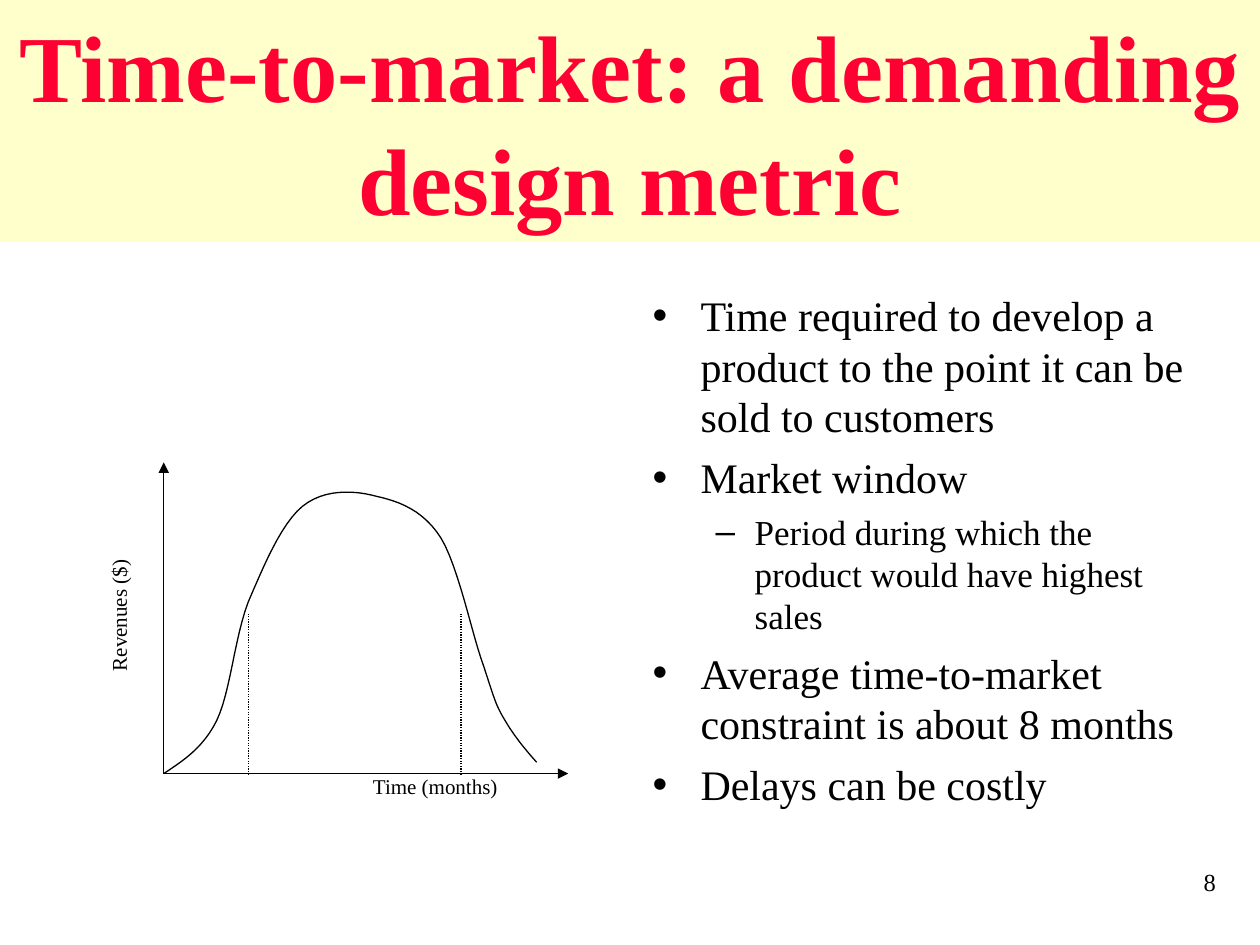
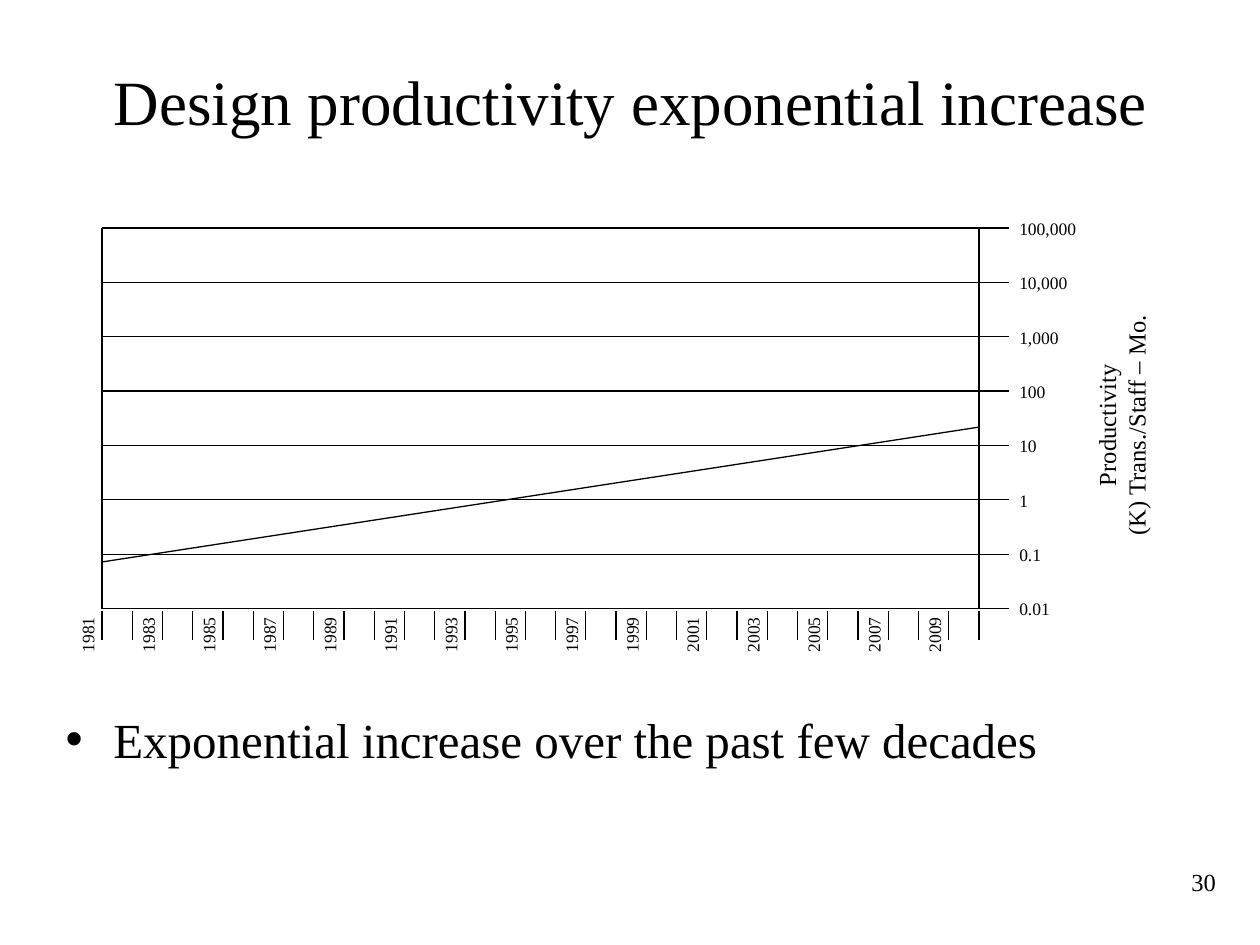
from pptx import Presentation
from pptx import util as u
from pptx.dml.color import RGBColor
from pptx.enum import dml, shapes, text
from pptx.oxml.ns import qn
from lxml import etree

INK, RED, CREAM = "000000", "FF0033", "FFFFCC"
LEFT, MID, RIGHT = text.PP_ALIGN.LEFT, text.PP_ALIGN.CENTER, text.PP_ALIGN.RIGHT


def tint(code):
    return RGBColor.from_string(code)


def place(shape, box):
    shape.left, shape.top, shape.width, shape.height = map(u.Inches, box)


def bend(start, steps, count=12):
    spots = [start]
    for one, two, end in steps:
        begin = spots[-1]
        for n in range(1, count + 1):
            t = n / count
            s = 1 - t
            spots.append(tuple(
                s**3 * a + 3 * s * s * t * b + 3 * s * t * t * c + t**3 * d
                for a, b, c, d in zip(begin, one, two, end)))
    return spots


class Deck:
    face = "Times New Roman"
    levels = {0: (0.38, -0.38), 1: (0.81, -0.31)}

    def __init__(self):
        self.show = Presentation()
        self.show.slide_width, self.show.slide_height = u.Inches(10), u.Inches(7.5)

    def page(self, number):
        self.slide = self.show.slides.add_slide(self.show.slide_layouts[1])
        self.label(number, (8.75, 6.83, 1, 0.5), 14, RIGHT, pad=(0.1, 0.05))

    def frame(self, shape, pad):
        frame = shape.text_frame
        frame.word_wrap = True
        frame.auto_size = text.MSO_AUTO_SIZE.NONE
        frame.margin_left = frame.margin_right = u.Inches(pad[0])
        frame.margin_top = frame.margin_bottom = u.Inches(pad[1])
        return frame

    def style(self, para, size, color=INK, bold=False):
        font = para.font
        font.name, font.size, font.bold = self.face, u.Pt(size), bold
        font.color.rgb = tint(color)

    def title(self, words, box, size, color=INK, bold=False, fill=None):
        shape = self.slide.shapes.title
        place(shape, box)
        if fill:
            shape.fill.solid()
            shape.fill.fore_color.rgb = tint(fill)
        frame = self.frame(shape, (0, 0.05))
        frame.vertical_anchor = text.MSO_ANCHOR.MIDDLE
        frame.text = words
        para = frame.paragraphs[0]
        para.alignment = MID
        self.style(para, size, color, bold)

    def points(self, items, box):
        shape = self.slide.placeholders[1]
        place(shape, box)
        frame = self.frame(shape, (0.1, 0.05))
        for n, (words, level, size) in enumerate(items):
            para = frame.add_paragraph() if n else frame.paragraphs[0]
            para.text, para.level = words, level
            left, first = self.levels[level]
            props = para._p.get_or_add_pPr()
            props.set("marL", str(u.Inches(left)))
            props.set("indent", str(u.Inches(first)))
            para.space_before = u.Pt(size / 4 if n else 0)
            self.style(para, size)

    def label(self, words, box, size, align=LEFT, turn=0, pad=(0, 0), wrap=True):
        shape = self.slide.shapes.add_textbox(*map(u.Inches, box))
        shape.rotation = turn
        frame = self.frame(shape, pad)
        frame.word_wrap = wrap
        frame.text = words
        for para in frame.paragraphs:
            para.alignment = align
            self.style(para, size)

    def stroke(self, line):
        line.color.rgb = tint(INK)
        line.width = u.Pt(0.75)

    def line(self, start, end, arrow=False, dotted=False):
        link = self.slide.shapes.add_connector(
            shapes.MSO_CONNECTOR.STRAIGHT, *map(u.Inches, start + end))
        self.stroke(link.line)
        if dotted:
            link.line.dash_style = dml.MSO_LINE.ROUND_DOT
        if arrow:
            etree.SubElement(link.line._get_or_add_ln(), qn("a:tailEnd"), type="triangle")
        etree.SubElement(link._element.spPr, qn("a:effectLst"))

    def curve(self, spots):
        first, *rest = [(u.Inches(x), u.Inches(y)) for x, y in spots]
        pen = self.slide.shapes.build_freeform(*first)
        pen.add_line_segments(rest, close=False)
        shape = pen.convert_to_shape()
        shape.shadow.inherit = False
        shape.fill.background()
        self.stroke(shape.line)


def market(deck):
    deck.page("8")
    deck.title("Time-to-market: a demanding design metric", (0, 0, 10, 1.92),
               54, RED, True, CREAM)
    deck.points([
        ("Time required to develop a product to the point it can be sold to customers", 0, 24),
        ("Market window", 0, 24),
        ("Period during which the product would have highest sales", 1, 20),
        ("Average time-to-market constraint is about 8 months", 0, 24),
        ("Delays can be costly", 0, 24),
    ], (5.08, 2.25, 4.5, 4.92))
    zero = (1.3, 6.14)
    for end in ((1.3, 3.67), (4.51, 6.14)):
        deck.line(zero, end, arrow=True)
    deck.label("Revenues ($)", (-0.1, 4.7, 2.25, 0.37), 12, MID, 270)
    deck.label("Time (months)", (2.65, 6.14, 1.61, 0.34), 12, MID)
    deck.curve(bend(zero, [
        ((1.45, 6.04), (1.61, 5.94), (1.72, 5.72)),
        ((1.83, 5.49), (1.86, 5.07), (1.97, 4.78)),
        ((2.09, 4.5), (2.23, 4.16), (2.4, 4.02)),
        ((2.57, 3.88), (2.81, 3.89), (2.99, 3.94)),
        ((3.17, 3.98), (3.36, 4.05), (3.5, 4.27)),
        ((3.64, 4.5), (3.75, 5.05), (3.84, 5.29)),
        ((3.92, 5.53), (3.93, 5.59), (4.01, 5.72)),
        ((4.08, 5.84), (4.17, 5.95), (4.26, 6.05)),
    ]))
    for x in (1.97, 3.66):
        deck.line((x, 4.87), (x, 6.14), dotted=True)


def growth(deck):
    deck.page("30")
    deck.title("Design productivity exponential increase", (0.42, 0.17, 9.17, 1.25), 36)
    deck.points([("Exponential increase over the past few decades", 0, 28)],
                (0.42, 5.58, 9.17, 1))
    left, right, top, base = 0.81, 7.77, 1.81, 4.83
    for x in (left, right):
        deck.line((x, top), (x, base))
    marks = ["100,000", "10,000", "1,000", "100", "10", "1", "0.1", "0.01"]
    gap = (base - top) / (len(marks) - 1)
    for n, mark in enumerate(marks):
        y = top + n * gap
        deck.line((left, y), (8.01, y))
        deck.label(mark, (8.09, y - 0.08, 0.74, 0.3), 10)
    years = range(1981, 2011)
    step = (right - left) / (len(years) - 1)
    for n, year in enumerate(years):
        x = left + n * step
        deck.line((x, 4.85), (x, 5.08))
        if n % 2 == 0:
            deck.label(str(year), (x - 0.2, 4.9, 0.42, 0.42), 10, RIGHT, 270)
    deck.line((left, 4.46), (right, 3.39))
    deck.label("Productivity\n(K) Trans./Staff – Mo.", (8.02, 3.14, 1.76, 0.47),
               14, MID, 270, wrap=False)


def main():
    deck = Deck()
    market(deck)
    growth(deck)
    deck.show.save("out.pptx")


if __name__ == "__main__":
    main()
